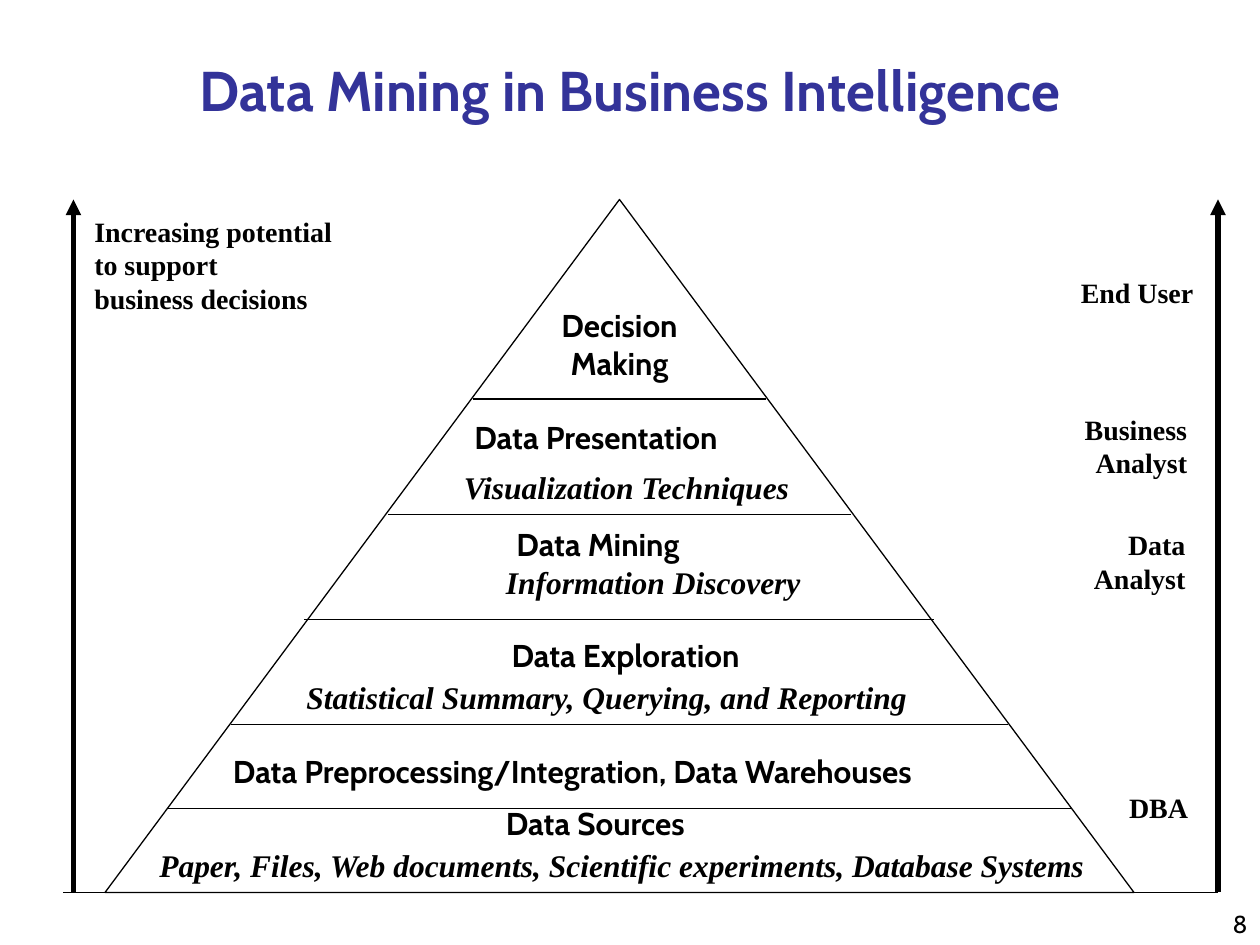
from lxml import etree
from pptx import Presentation
from pptx.dml.color import RGBColor
from pptx.enum.shapes import MSO_CONNECTOR as Connector, MSO_SHAPE as Shape
from pptx.enum.text import MSO_ANCHOR as Anchor, MSO_AUTO_SIZE as AutoSize, PP_ALIGN as Align
from pptx.oxml.ns import qn
from pptx.util import Pt


def color(hex_string):
    return RGBColor.from_string(hex_string)


def write(frame, text, font="Cabin", size=18, bold=True, italic=False,
          fill="000000", align=Align.LEFT, anchor=Anchor.TOP, wrap=False,
          autosize=AutoSize.SHAPE_TO_FIT_TEXT):
    frame.word_wrap = wrap
    frame.auto_size = autosize
    frame.vertical_anchor = anchor
    for index, line in enumerate(text.split("\n")):
        paragraph = frame.add_paragraph() if index else frame.paragraphs[0]
        paragraph.alignment = align
        run = paragraph.add_run()
        run.text = line
        run.font.name = font
        run.font.size = Pt(size)
        run.font.bold = bold
        run.font.italic = italic
        run.font.color.rgb = color(fill)


class PyramidSlide:
    heading_font = "Cabin"
    detail_font = "Times New Roman"
    ink = "000000"
    accent = "333399"
    thin, thick = 0.75, 3

    def __init__(self, presentation):
        self.slide = presentation.slides.add_slide(presentation.slide_layouts[5])
        self.shapes = self.slide.shapes

    def title(self, text, left, top, width, height):
        shape = self.shapes.title
        shape.left, shape.top = Pt(left), Pt(top)
        shape.width, shape.height = Pt(width), Pt(height)
        write(shape.text_frame, text, font=self.heading_font, size=32, fill=self.accent,
              align=Align.CENTER, anchor=Anchor.MIDDLE, wrap=True, autosize=AutoSize.NONE)

    def text(self, text, left, top, width, height, **style):
        box = self.shapes.add_textbox(Pt(left), Pt(top), Pt(width), Pt(height))
        write(box.text_frame, text, **style)

    def heading(self, text, *box, **style):
        self.text(text, *box, font=self.heading_font, **style)

    def detail(self, text, *box, **style):
        self.text(text, *box, font=self.detail_font, italic=True, **style)

    def side_note(self, text, *box, **style):
        self.text(text, *box, font=self.detail_font, size=16, **style)

    def triangle(self, left, top, width, height):
        shape = self.shapes.add_shape(Shape.FLOWCHART_EXTRACT, Pt(left), Pt(top),
                                      Pt(width), Pt(height))
        shape.shadow.inherit = False
        shape.fill.background()
        shape.line.color.rgb = color(self.ink)
        shape.line.width = Pt(self.thin)

    def line(self, x1, y1, x2, y2, width=thin, arrow=False):
        connector = self.shapes.add_connector(Connector.STRAIGHT, Pt(x1), Pt(y1),
                                              Pt(x2), Pt(y2))
        connector.line.color.rgb = color(self.ink)
        connector.line.width = Pt(width)
        properties = connector._element.spPr
        etree.SubElement(properties, qn("a:effectLst"))
        if arrow:
            etree.SubElement(properties.find(qn("a:ln")), qn("a:tailEnd"), type="triangle")


presentation = Presentation()
presentation.slide_width, presentation.slide_height = Pt(720), Pt(540)
page = PyramidSlide(presentation)

# Title and slide number
page.title("Data Mining in Business Intelligence", 18, 30, 684, 42)
page.heading("8", 570, 504, 150, 36, size=14, bold=False, align=Align.RIGHT,
             anchor=Anchor.BOTTOM, wrap=True, autosize=AutoSize.NONE)

# Pyramid with level dividers, centred on one axis
top, base, axis = 114, 510, 354
page.triangle(60, top, 588, base - top)
for y, half_width in [(462, 258), (414, 222), (354, 180), (294, 132), (228, 84)]:
    page.line(axis - half_width, y, axis + half_width, y)

# Side arrows and base line
for x in (42, 696):
    page.line(x, base, x, top, width=page.thick, arrow=True)
page.line(36, base, 696, base)

# Side notes: potential on the left, roles on the right
page.side_note("Increasing potential\nto support\nbusiness decisions", 46.8, 118.8, 151, 65)
for role, *box in [
    ("End User", 610, 154, 79, 27),
    ("Business\nAnalyst", 610.5, 232, 75, 46),
    ("Data\nAnalyst", 617, 298, 67.5, 46),
    ("DBA", 638, 448, 48, 27),
]:
    page.side_note(role, *box, align=Align.RIGHT)

# Level headings
page.heading("Decision Making", 306, 171.5, 96, 50.5, align=Align.CENTER, wrap=True)
page.heading("Data Presentation", 264, 235.5, 178, 29)
page.heading("Data Mining", 288, 296.5, 140, 29, wrap=True)
page.heading("Data Exploration", 265, 360, 185, 29, align=Align.CENTER, wrap=True)
page.heading("Data Preprocessing/Integration, Data Warehouses", 126, 426, 474.5, 29)
page.heading("Data Sources", 282, 456, 134, 29)

# Level details
page.detail("Visualization Techniques", 258, 264, 203, 29)
page.detail("Information Discovery", 282, 318, 183, 29)
page.detail("Statistical Summary, Querying, and Reporting", 168, 384, 360, 29, wrap=True)
page.detail("Paper, Files, Web documents, Scientific experiments, Database Systems",
            84, 480, 560, 29, wrap=True)

presentation.save("out.pptx")
